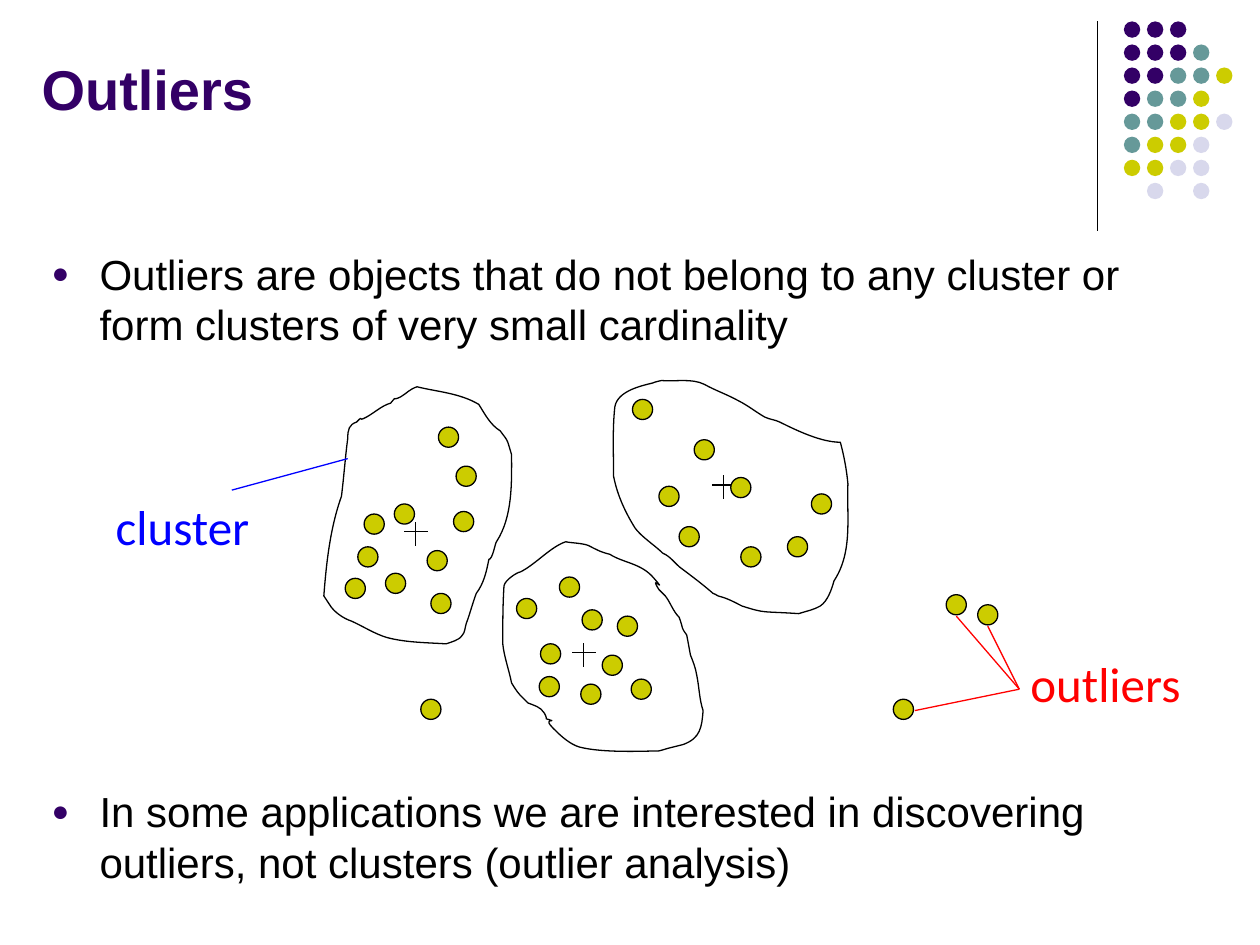
from dataclasses import dataclass

from lxml.etree import SubElement
from pptx import Presentation
from pptx.dml.color import RGBColor
from pptx.enum.shapes import MSO_CONNECTOR, MSO_SHAPE
from pptx.enum.text import MSO_ANCHOR, MSO_AUTO_SIZE, PP_ALIGN
from pptx.oxml.ns import qn
from pptx.util import Inches, Pt


@dataclass(frozen=True)
class Theme:
    purple: str = "330066"
    teal: str = "669999"
    yellow: str = "CCCC00"
    lilac: str = "D8D8EC"
    black: str = "000000"
    blue: str = "0000FF"
    red: str = "FF0000"
    text_font: str = "Arial"
    label_font: str = "Calibri"
    title_size: int = 32
    body_size: int = 24
    label_size: int = 28
    line_pitch: float = 28.8
    line_width: float = 0.75


THEME = Theme()

# Corner ornament: one letter per dot, one string per row
DOT_COLOURS = {"P": THEME.purple, "T": THEME.teal, "Y": THEME.yellow, "L": THEME.lilac}
DOT_ROWS = ["PPP", "PPPT", "PPTTY", "PTTY", "TTYYL", "TYYL", "YYLL", " L L"]

# Left and top of the data points, by group
POINTS = {
    "outliers": [(7.09, 5.55), (3.34, 5.55), (7.51, 4.72), (7.76, 4.8)],
    "left": [(3.06, 4.55), (2.84, 4.34), (3.39, 4.37), (3.13, 4), (2.74, 4.59),
             (2.89, 4.08), (3.42, 4.71), (3.6, 4.06), (3.62, 3.7), (3.48, 3.39)],
    "right": [(5.51, 3.49), (5.39, 4.18), (5.8, 3.79), (5.23, 3.86),
              (6.44, 3.92), (6.25, 4.26), (5.88, 4.34), (5.02, 3.17)],
    "bottom": [(4.1, 4.75), (4.9, 4.89), (4.61, 5.43), (4.78, 5.2), (4.29, 5.11),
               (4.28, 5.37), (4.44, 4.58), (4.62, 4.84), (5.01, 5.39)],
}
CENTROIDS = [(4.63, 5.18), (5.74, 3.85), (3.3, 4.22)]

# Cluster outlines: a start point, then Bezier segments (two controls and an end)
RIGHT_OUTLINE = (6.67, 3.51), [
    (6.7, 3.62, 6.72, 3.73, 6.73, 3.84), (6.72, 4.11, 6.77, 4.38, 6.62, 4.61),
    (6.6, 4.68, 6.57, 4.77, 6.51, 4.81), (6.46, 4.84, 6.4, 4.85, 6.34, 4.87),
    (6.04, 4.85, 6.08, 4.87, 5.89, 4.81), (5.83, 4.78, 5.78, 4.75, 5.7, 4.73),
    (5.69, 4.72, 5.66, 4.71, 5.66, 4.71), (5.58, 4.64, 5.5, 4.58, 5.42, 4.52),
    (5.36, 4.48, 5.33, 4.42, 5.26, 4.39), (5.2, 4.33, 5.09, 4.26, 5.04, 4.19),
    (4.96, 4.06, 4.9, 3.93, 4.87, 3.78), (4.87, 3.6, 4.86, 3.41, 4.88, 3.23),
    (4.9, 3.1, 5.1, 3.06, 5.18, 3.04), (5.2, 3.03, 5.25, 3.02, 5.25, 3.02),
    (5.36, 3.03, 5.49, 3, 5.59, 3.05), (5.68, 3.1, 5.77, 3.13, 5.86, 3.18),
    (5.94, 3.22, 6, 3.27, 6.07, 3.31), (6.11, 3.33, 6.15, 3.33, 6.19, 3.35),
    (6.33, 3.42, 6.52, 3.51, 6.67, 3.51)]
BOTTOM_OUTLINE = (4.38, 5.72), [
    (4.3, 5.69, 4.36, 5.73, 4.32, 5.66), (4.29, 5.61, 4.24, 5.6, 4.19, 5.58),
    (4.17, 5.56, 4.15, 5.54, 4.13, 5.52), (4.1, 5.49, 4.06, 5.42, 4.06, 5.42),
    (4.04, 5.32, 4, 5.21, 3.99, 5.11), (3.99, 4.95, 3.99, 4.8, 4, 4.65),
    (4.01, 4.6, 4.11, 4.54, 4.13, 4.54), (4.25, 4.48, 4.37, 4.34, 4.49, 4.3),
    (4.53, 4.31, 4.62, 4.31, 4.67, 4.33), (4.73, 4.36, 4.76, 4.38, 4.84, 4.4),
    (4.95, 4.47, 5.09, 4.47, 5.19, 4.59), (5.31, 4.73, 5.14, 4.54, 5.23, 4.68),
    (5.24, 4.7, 5.27, 4.71, 5.28, 4.73), (5.32, 4.78, 5.34, 4.85, 5.39, 4.9),
    (5.43, 5.01, 5.4, 4.97, 5.45, 5.04), (5.46, 5.09, 5.47, 5.15, 5.48, 5.2),
    (5.5, 5.25, 5.52, 5.3, 5.53, 5.36), (5.55, 5.46, 5.55, 5.55, 5.58, 5.64),
    (5.57, 5.77, 5.56, 5.86, 5.42, 5.91), (5.38, 5.92, 5.34, 5.93, 5.3, 5.94),
    (5.27, 5.95, 5.23, 5.96, 5.23, 5.96), (5.15, 5.96, 4.79, 5.98, 4.6, 5.93),
    (4.53, 5.91, 4.46, 5.85, 4.41, 5.8), (4.39, 5.78, 4.32, 5.72, 4.38, 5.72)]
LEFT_OUTLINE = (3.88, 4.44), [
    (3.86, 4.54, 3.84, 4.63, 3.78, 4.71), (3.75, 4.79, 3.73, 4.87, 3.7, 4.95),
    (3.69, 4.98, 3.69, 5.02, 3.67, 5.04), (3.66, 5.05, 3.65, 5.07, 3.64, 5.07),
    (3.61, 5.09, 3.54, 5.11, 3.54, 5.11), (3.38, 5.1, 3.22, 5.1, 3.07, 5.06),
    (2.97, 5.03, 2.88, 4.97, 2.79, 4.93), (2.73, 4.91, 2.67, 4.87, 2.63, 4.82),
    (2.61, 4.79, 2.57, 4.73, 2.57, 4.73), (2.59, 4.47, 2.62, 4.19, 2.71, 3.94),
    (2.73, 3.78, 2.74, 3.63, 2.76, 3.48), (2.76, 3.41, 2.77, 3.37, 2.83, 3.35),
    (2.9, 3.28, 2.82, 3.36, 2.91, 3.31), (2.98, 3.27, 3.03, 3.22, 3.1, 3.2),
    (3.16, 3.13, 3.1, 3.19, 3.18, 3.15), (3.23, 3.12, 3.25, 3.09, 3.31, 3.07),
    (3.47, 3.11, 3.65, 3.12, 3.8, 3.21), (3.85, 3.29, 3.89, 3.37, 3.97, 3.42),
    (3.99, 3.45, 4.02, 3.48, 4.03, 3.51), (4.04, 3.54, 4.06, 3.61, 4.06, 3.61),
    (4.06, 3.83, 4.07, 4.1, 3.94, 4.3), (3.93, 4.31, 3.91, 4.44, 3.88, 4.44)]


def colour(hex_value):
    return RGBColor.from_string(hex_value)


def place(shape, left, top, width, height):
    shape.left, shape.top = Inches(left), Inches(top)
    shape.width, shape.height = Inches(width), Inches(height)


def style_font(paragraph, name, size, hex_value, bold=False):
    font = paragraph.font
    font.name, font.size, font.bold = name, Pt(size), bold
    font.color.rgb = colour(hex_value)


def style_line(shape, hex_value):
    shape.line.color.rgb = colour(hex_value)
    shape.line.width = Pt(THEME.line_width)


def add_line(shapes, start, end, hex_value=THEME.black):
    line = shapes.add_connector(MSO_CONNECTOR.STRAIGHT, *map(Inches, start + end))
    style_line(line, hex_value)
    SubElement(line._element.spPr, qn("a:effectLst"))


def add_dot(shapes, kind, left, top, size, fill, outlined=False):
    dot = shapes.add_shape(kind, *map(Inches, (left, top, size, size)))
    dot.shadow.inherit = False
    dot.fill.solid()
    dot.fill.fore_color.rgb = colour(fill)
    if outlined:
        style_line(dot, THEME.black)
    else:
        dot.line.fill.background()


def add_centroid(slide, x, y):
    cross = slide.shapes.add_group_shape().shapes
    add_line(cross, (x - 0.09, y), (x + 0.1, y))
    add_line(cross, (x, y + 0.11), (x, y - 0.08))


def add_outline(slide, start, segments):
    """Draw a closed outline, turning each straight segment into a Bezier curve."""
    builder = slide.shapes.build_freeform(*map(Inches, start))
    builder.add_line_segments([tuple(map(Inches, seg[4:])) for seg in segments], close=True)
    outline = builder.convert_to_shape()
    straight_lines = list(outline._element.iter(qn("a:lnTo")))
    for straight, segment in zip(straight_lines, segments):
        straight.clear()
        straight.tag = qn("a:cubicBezTo")
        for x, y in zip(segment[::2], segment[1::2]):
            SubElement(straight, qn("a:pt"), x=str(Inches(x) - outline.left),
                       y=str(Inches(y) - outline.top))
    outline.shadow.inherit = False
    outline.fill.background()
    style_line(outline, THEME.black)


def add_label(slide, text, left, top, width, hex_value):
    label = slide.shapes.add_textbox(*map(Inches, (left, top, width, 0.57)))
    label.text_frame.word_wrap = False
    label.text_frame.text = text
    style_font(label.text_frame.paragraphs[0], THEME.label_font, THEME.label_size, hex_value)


def add_bullet(paragraph):
    props = paragraph._p.get_or_add_pPr()
    props.set("marL", str(Inches(0.38)))
    props.set("indent", str(-Inches(0.38)))
    SubElement(SubElement(props, qn("a:buClr")), qn("a:srgbClr"), val=THEME.purple)
    SubElement(props, qn("a:buSzPct"), val="70000")
    SubElement(props, qn("a:buFont"), typeface=THEME.text_font)
    SubElement(props, qn("a:buChar"), char="●")


def fill_title(title, text):
    place(title, 0.23, 0.13, 8.75, 1.14)
    title.text_frame.text = text
    title.text_frame.vertical_anchor = MSO_ANCHOR.MIDDLE
    heading = title.text_frame.paragraphs[0]
    heading.alignment = PP_ALIGN.LEFT
    style_font(heading, THEME.text_font, THEME.title_size, THEME.purple, bold=True)


def fill_body(body, statements, gap):
    place(body, 0.31, 1.92, 9.14, 5.5)
    body.text_frame.auto_size = MSO_AUTO_SIZE.NONE
    body.text_frame.text = "\n".join(statements)
    for index, statement in enumerate(body.text_frame.paragraphs):
        add_bullet(statement)
        statement.line_spacing = Pt(THEME.line_pitch)
        statement.space_before = Pt(gap if index else 0)
        style_font(statement, THEME.text_font, THEME.body_size, THEME.black)


def main():
    deck = Presentation()
    deck.slide_width, deck.slide_height = Inches(10), Inches(7.5)
    slide = deck.slides.add_slide(deck.slide_layouts[1])

    # Corner ornament
    add_line(slide.shapes, (8.71, 0.17), (8.71, 1.83))
    ornament = slide.shapes.add_group_shape().shapes
    for row, letters in enumerate(DOT_ROWS):
        for column, letter in enumerate(letters):
            if letter in DOT_COLOURS:
                add_dot(ornament, MSO_SHAPE.OVAL, 8.92 + column * 0.183,
                        0.17 + row * 0.183, 0.13, DOT_COLOURS[letter])

    # Title and statements, with room for the diagram between them
    fill_title(slide.shapes.title, "Outliers")
    fill_body(slide.placeholders[1], [
        "Outliers are objects that do not belong to any cluster or "
        "form clusters of very small cardinality",
        "In some applications we are interested in discovering "
        "outliers, not clusters (outlier analysis)"], gap=249.5)

    # Centroids, data points and cluster outlines
    for x, y in CENTROIDS:
        add_centroid(slide, x, y)
    for group in POINTS.values():
        for left, top in group:
            add_dot(slide.shapes, MSO_SHAPE.FLOWCHART_CONNECTOR, left, top, 0.16,
                    THEME.yellow, outlined=True)
    for start, segments in (RIGHT_OUTLINE, BOTTOM_OUTLINE, LEFT_OUTLINE):
        add_outline(slide, start, segments)

    # Labels and their pointers
    add_line(slide.shapes, (1.84, 3.89), (2.76, 3.64), THEME.blue)
    add_label(slide, "cluster", 0.82, 3.89, 1.27, THEME.blue)
    for outlier in ((7.26, 5.64), (7.59, 4.89), (7.84, 4.97)):
        add_line(slide.shapes, outlier, (8.09, 5.47), THEME.red)
    add_label(slide, "outliers", 8.08, 5.14, 1.4, THEME.red)

    deck.save("out.pptx")


if __name__ == "__main__":
    main()
